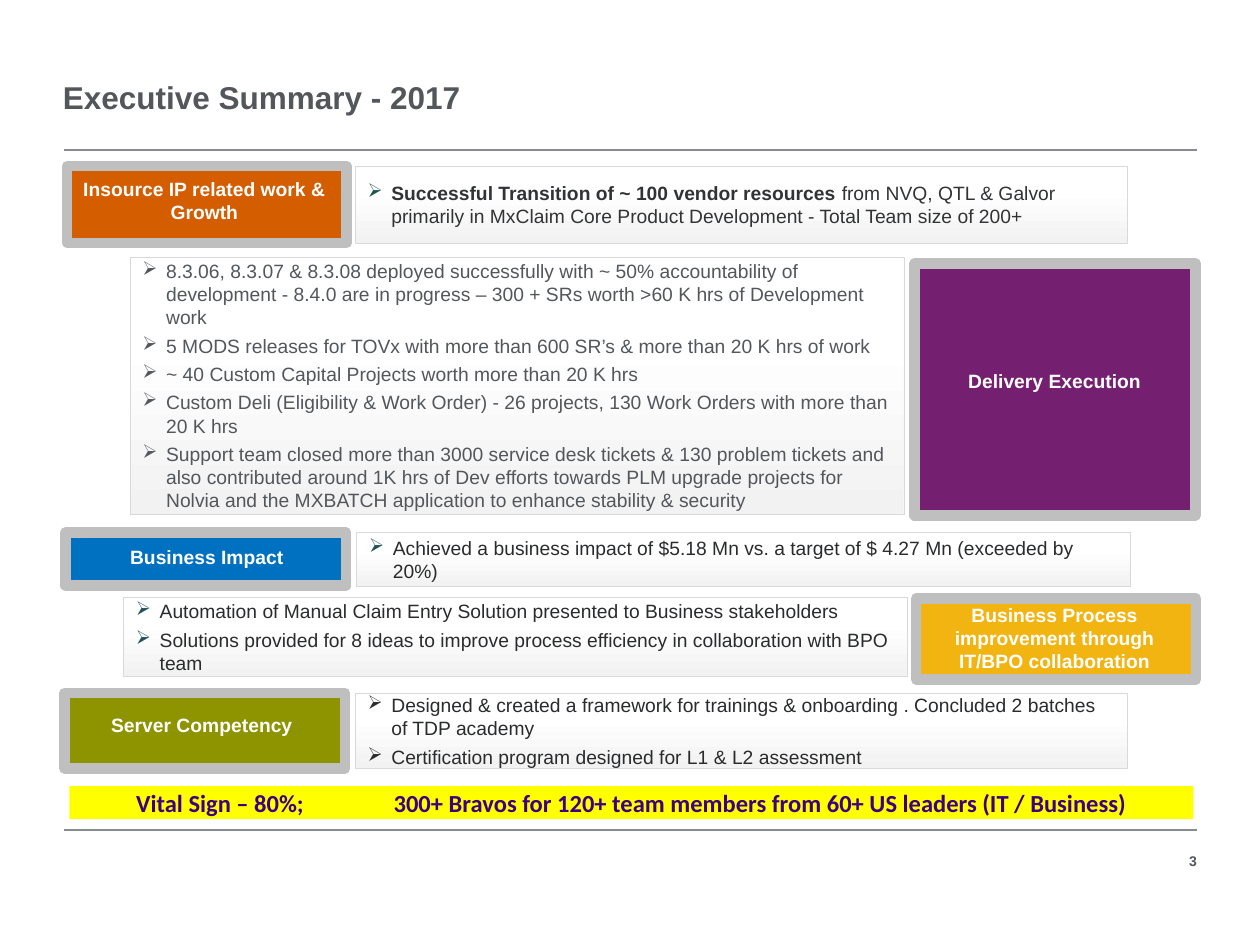
from dataclasses import dataclass
from typing import Optional

from lxml import etree
from pptx import Presentation
from pptx.dml.color import RGBColor
from pptx.enum.shapes import MSO_CONNECTOR, MSO_SHAPE
from pptx.enum.text import MSO_ANCHOR, PP_ALIGN
from pptx.oxml.ns import qn
from pptx.util import Cm, Pt

RECTANGLE = MSO_SHAPE.RECTANGLE
STRAIGHT = MSO_CONNECTOR.STRAIGHT
TOP, MIDDLE, BOTTOM = MSO_ANCHOR.TOP, MSO_ANCHOR.MIDDLE, MSO_ANCHOR.BOTTOM
LEFT, CENTER, RIGHT = PP_ALIGN.LEFT, PP_ALIGN.CENTER, PP_ALIGN.RIGHT

COLORS = {
    "heading": "53565A", "rule": "888B8D", "white": "FFFFFF",
    "label_border": "BFBFBF", "detail_border": "D9D9D9", "shade": "F2F2F2",
    "bullet": "215352", "body": "2A2B2D", "lead": "323335",
    "orange": "D45D00", "purple": "751F71", "blue": "0070C0",
    "amber": "F2B411", "olive": "8E9300",
    "yellow": "FFFF00", "indigo": "3B0083",
}
LABEL_WIDTH = 5.44
BULLET_INDENT = Cm(0.48)


@dataclass
class Area:
    """Left, top, width and height in centimetres."""
    left: float
    top: float
    width: float
    height: float

    def lengths(self) -> tuple:
        return Cm(self.left), Cm(self.top), Cm(self.width), Cm(self.height)


@dataclass
class Topic:
    label: str
    fill: str
    block: Area
    label_area: Area
    detail: Area
    points: list
    text_color: str = "body"
    bullet_color: Optional[str] = "bullet"
    lead: str = ""


TOPICS = [
    Topic("Insource IP related work & Growth", "orange",
          Area(1.35, 3.35, 5.64, 1.55), Area(1.4, 3.45, LABEL_WIDTH, 1.19),
          Area(7.16, 3.35, 15.57, 1.55),
          ["from NVQ, QTL & Galvor primarily in MxClaim Core Product Development"
           " - Total Team size of 200+"],
          text_color="lead",
          lead="Successful Transition of ~ 100 vendor resources "),
    Topic("Delivery Execution", "purple",
          Area(18.44, 5.31, 5.66, 5.08), Area(18.54, 7.32, LABEL_WIDTH, 0.74),
          Area(2.62, 5.18, 15.6, 5.18),
          ["8.3.06, 8.3.07 & 8.3.08 deployed successfully with ~ 50% accountability"
           " of development - 8.4.0 are in progress – 300 + SRs worth >60 K hrs of"
           " Development work",
           "5 MODS releases for TOVx with more than 600 SR’s & more than 20 K hrs"
           " of work",
           "~ 40 Custom Capital Projects worth more than 20 K hrs",
           "Custom Deli (Eligibility & Work Order) - 26 projects, 130 Work Orders"
           " with more than 20 K hrs",
           "Support team closed more than 3000 service desk tickets & 130 problem"
           " tickets and also contributed around 1K hrs of Dev efforts towards PLM"
           " upgrade projects for Nolvia and the MXBATCH application to enhance"
           " stability & security"],
          text_color="heading", bullet_color=None),
    Topic("Business Impact", "blue",
          Area(1.32, 10.74, 5.66, 1.07), Area(1.45, 10.87, LABEL_WIDTH, 0.74),
          Area(7.19, 10.74, 15.6, 1.07),
          ["Achieved a business impact of $5.18 Mn vs. a target of $ 4.27 Mn"
           " (exceeded by 20%)"]),
    Topic("Business Process improvement through IT/BPO collaboration", "amber",
          Area(18.47, 12.07, 5.64, 1.63), Area(18.54, 12.04, LABEL_WIDTH, 1.68),
          Area(2.49, 12.04, 15.8, 1.6),
          ["Automation of Manual Claim Entry Solution presented to Business"
           " stakeholders",
           "Solutions provided for 8 ideas to improve process efficiency in"
           " collaboration with BPO team"]),
    Topic("Server Competency", "olive",
          Area(1.3, 13.97, 5.66, 1.52), Area(1.35, 14.25, LABEL_WIDTH, 0.74),
          Area(7.16, 13.97, 15.57, 1.52),
          ["Designed & created a framework for trainings & onboarding . Concluded"
           " 2 batches of TDP academy",
           "Certification program designed for L1 & L2 assessment"],
          bullet_color=None),
]


def rgb(name: str) -> RGBColor:
    return RGBColor.from_string(COLORS[name])


def style_runs(para, size: float, color: str, bold: bool, font: str = "Arial") -> None:
    for span in para.runs:
        span.font.name, span.font.size, span.font.bold = font, Pt(size), bold
        span.font.color.rgb = rgb(color)


def set_margins(frame, margin: float) -> None:
    frame.margin_left = frame.margin_right = Cm(margin)
    frame.margin_top = frame.margin_bottom = Cm(margin)


def add_text(page, area: Area, text: str, size: float, color: str,
             align=LEFT, anchor=TOP, margin: Optional[float] = None):
    frame = page.shapes.add_textbox(*area.lengths()).text_frame
    frame.word_wrap, frame.vertical_anchor = True, anchor
    if margin is not None:
        set_margins(frame, margin)
    frame.text = text
    para = frame.paragraphs[0]
    para.alignment = align
    style_runs(para, size, color, True)
    return para


def add_box(page, area: Area, fill: Optional[str] = None,
            border: Optional[str] = None, width: float = 0):
    box = page.shapes.add_shape(RECTANGLE, *area.lengths())
    box.shadow.inherit = False
    if fill:
        box.fill.solid()
        box.fill.fore_color.rgb = rgb(fill)
    if border:
        box.line.color.rgb, box.line.width = rgb(border), Pt(width)
    else:
        box.line.fill.background()
    return box


def add_rule(page, top: float) -> None:
    rule = page.shapes.add_connector(STRAIGHT, Cm(1.3), Cm(top), Cm(24.13), Cm(top))
    rule.line.color.rgb, rule.line.width = rgb("rule"), Pt(1)
    etree.SubElement(rule._element.spPr, qn("a:effectLst"))


def add_bullet(para, color: Optional[str]) -> None:
    props = para._p.get_or_add_pPr()
    props.set("marL", str(BULLET_INDENT))
    props.set("indent", str(-BULLET_INDENT))
    if color:
        holder = etree.SubElement(props, qn("a:buClr"))
        etree.SubElement(holder, qn("a:srgbClr"), val=COLORS[color])
    etree.SubElement(props, qn("a:buChar"), char="➢")


def add_detail(page, topic: Topic) -> None:
    box = add_box(page, topic.detail, border="detail_border", width=0.25)
    box.fill.gradient()
    box.fill.gradient_angle = 90
    for stop, color, position in zip(box.fill.gradient_stops,
                                     ("shade", "white"), (0, 0.67)):
        stop.color.rgb, stop.position = rgb(color), position
    frame = box.text_frame
    frame.word_wrap, frame.vertical_anchor = True, MIDDLE
    for index, point in enumerate(topic.points):
        para = frame.add_paragraph() if index else frame.paragraphs[0]
        para.text = topic.lead or point
        if topic.lead:
            para.add_run().text = point
        para.alignment = LEFT
        para.space_before = Pt(3 if index else 0)
        add_bullet(para, topic.bullet_color)
        style_runs(para, 11, topic.text_color, False)
        para.runs[0].font.bold = bool(topic.lead)


def add_topic(page, topic: Topic) -> None:
    add_box(page, topic.block, topic.fill, "label_border", 6)
    add_text(page, topic.label_area, topic.label, 11, "white", CENTER)
    add_detail(page, topic)


def add_banner(page) -> None:
    frame = add_box(page, Area(1.4, 15.85, 22.66, 0.66), "yellow").text_frame
    frame.word_wrap, frame.vertical_anchor = True, MIDDLE
    set_margins(frame, 0.13)
    frame.text = ("Vital Sign – 80%;\t 300+ Bravos for 120+ team members"
                  " from 60+ US leaders (IT / Business)")
    para = frame.paragraphs[0]
    para.alignment = CENTER
    tabs = etree.SubElement(para._p.get_or_add_pPr(), qn("a:tabLst"))
    etree.SubElement(tabs, qn("a:tab"), pos=str(Cm(5.08)), algn="l")
    style_runs(para, 14, "indigo", True, "Calibri")


def main() -> None:
    deck = Presentation()
    deck.slide_width, deck.slide_height = Cm(25.4), Cm(19.05)
    page = deck.slides.add_slide(deck.slide_layouts[6])

    # Title, rules and page number
    title = add_text(page, Area(1.27, 1.07, 22.91, 1.27), "Executive Summary - 2017",
                     18, "heading", anchor=BOTTOM, margin=0)
    title.line_spacing = 0.9
    for top in (3.02, 16.74):
        add_rule(page, top)
    add_text(page, Area(22.86, 17.07, 1.27, 0.58), "3", 8, "heading", RIGHT, MIDDLE, 0)

    # Topics and closing banner
    for topic in TOPICS:
        add_topic(page, topic)
    add_banner(page)
    deck.save("out.pptx")


if __name__ == "__main__":
    main()
